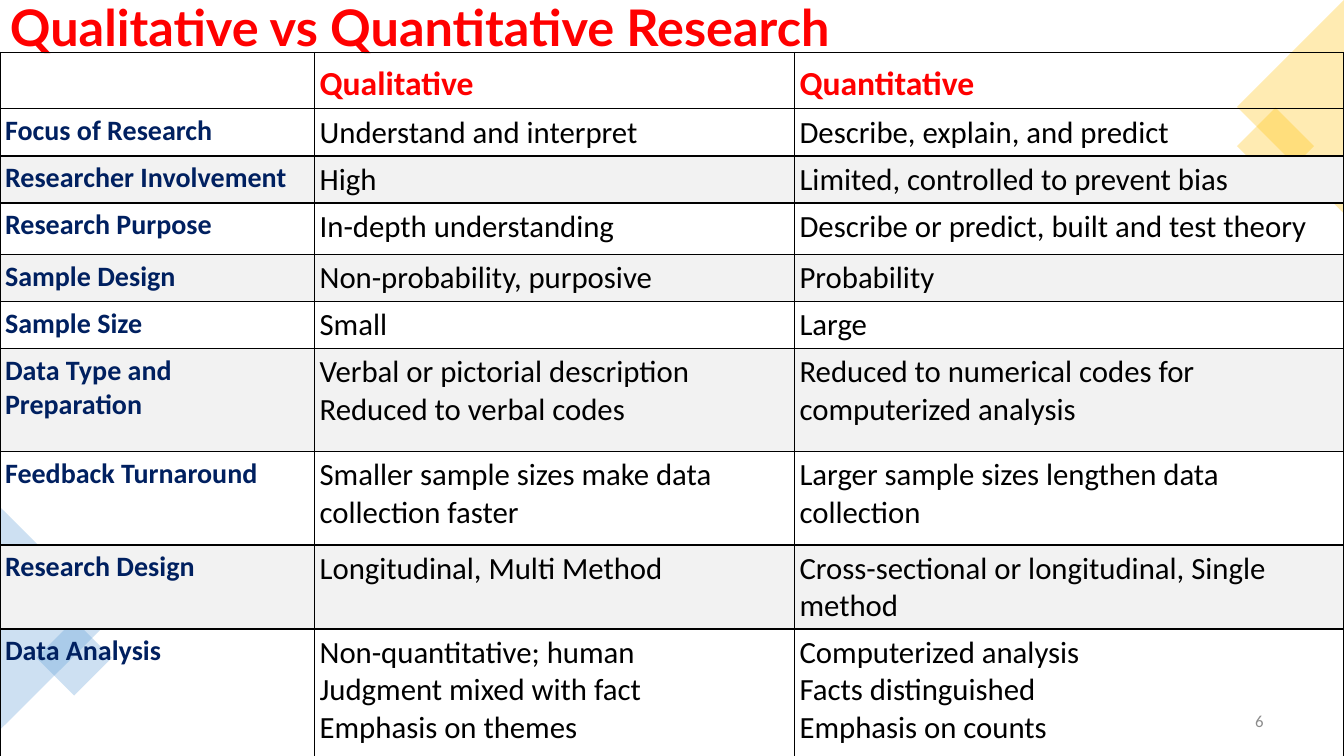
"""Build the slide comparing qualitative and quantitative research."""
from dataclasses import dataclass

from lxml import etree
from pptx import Presentation, util as u
from pptx.dml.color import RGBColor
from pptx.enum import shapes, text
from pptx.oxml import ns


@dataclass(frozen=True)
class Theme:
    red: str = "FF0000"
    navy: str = "002060"
    black: str = "000000"
    white: str = "FFFFFF"
    band: str = "F2F2F2"
    blue: str = "5B9BD5"
    gold: str = "FFC000"
    grey: str = "8C8C8C"
    opacity: int = 30
    title_font: str = "Lato"
    body_font: str = "Calibri"
    title_size: float = 36
    head_size: float = 24
    label_size: float = 20
    body_size: float = 22
    number_size: float = 12
    border: float = 1
    inset: float = 0.05


@dataclass(frozen=True)
class Box:
    """A box in percent of the slide's width and height."""
    x: float
    y: float
    w: float
    h: float

    def emu(self) -> tuple:
        return across(self.x), down(self.y), across(self.w), down(self.h)


@dataclass(frozen=True)
class Ornament:
    kind: shapes.MSO_SHAPE
    box: Box
    rotation: float
    color: str


@dataclass(frozen=True)
class Style:
    size: float
    color: str
    bold: bool = False
    font: str = Theme.body_font


@dataclass(frozen=True)
class Row:
    height: float
    label: str
    qualitative: str
    quantitative: str


THEME = Theme()
WIDTH, HEIGHT = u.Inches(13.33), u.Inches(7.5)
COLUMNS = (23.41, 35.71, 40.88)
TITLE_BOX = Box(0, 0.67, 100, 5.6)
NUMBER_BOX = Box(72.24, 92.67, 22.51, 5.33)
TABLE_TOP = 6.93

TITLE = Style(THEME.title_size, THEME.red, True, THEME.title_font)
HEAD = Style(THEME.head_size, THEME.red, True)
LABEL = Style(THEME.label_size, THEME.navy, True)
BODY = Style(THEME.body_size, THEME.black)
NUMBER = Style(THEME.number_size, THEME.grey)

TRIANGLE = shapes.MSO_SHAPE.ISOSCELES_TRIANGLE
SQUARE = shapes.MSO_SHAPE.RECTANGLE
ORNAMENTS = (
    Ornament(TRIANGLE, Box(-4.13, 74.4, 16.58, 14.8), 90, THEME.blue),
    Ornament(SQUARE, Box(3.53, 83.47, 3.98, 7.07), 45, THEME.blue),
    Ornament(SQUARE, Box(92.87, 15.73, 4.05, 7.2), 45, THEME.gold),
    Ornament(TRIANGLE, Box(88.07, 7.07, 15.9, 14.13), 270, THEME.gold),
)
ROWS = (
    Row(6.93, "", "Qualitative", "Quantitative"),
    Row(5.87, "Focus of Research", "Understand and interpret", "Describe, explain, and predict"),
    Row(5.6, "Researcher Involvement", "High", "Limited, controlled to prevent bias"),
    Row(6.8, "Research Purpose", "In-depth understanding",
        "Describe or predict, built and test theory"),
    Row(5.6, "Sample Design", "Non-probability, purposive", "Probability"),
    Row(5.6, "Sample Size", "Small", "Large"),
    Row(13.6, "Data Type and Preparation",
        "Verbal or pictorial description\nReduced to verbal codes",
        "Reduced to numerical codes for computerized analysis"),
    Row(12.4, "Feedback Turnaround", "Smaller sample sizes make data collection faster",
        "Larger sample sizes lengthen data collection"),
    Row(5.6, "Research Design", "Longitudinal, Multi Method",
        "Cross-sectional or longitudinal, Single method"),
    Row(18.67, "Data Analysis",
        "Non-quantitative; human\nJudgment mixed with fact\nEmphasis on themes",
        "Computerized analysis\nFacts distinguished\nEmphasis on counts"),
)


def across(share: float) -> int:
    return round(WIDTH * share / 100)


def down(share: float) -> int:
    return round(HEIGHT * share / 100)


def write(tf, content: str, style: Style) -> None:
    tf.text = content
    tf.word_wrap = True
    for p in tf.paragraphs:
        for r in p.runs:
            r.font.name, r.font.size, r.font.bold = style.font, u.Pt(style.size), style.bold
            r.font.color.rgb = RGBColor.from_string(style.color)


def add_text(s, box: Box, content: str, style: Style):
    tf = s.shapes.add_textbox(*box.emu()).text_frame
    write(tf, content, style)
    tf.vertical_anchor = text.MSO_ANCHOR.MIDDLE
    return tf.paragraphs[0]


def add_ornament(s, ornament: Ornament) -> None:
    sp = s.shapes.add_shape(ornament.kind, *ornament.box.emu())
    sp.rotation = ornament.rotation
    sp.shadow.inherit = False
    sp.line.fill.background()
    sp.fill.solid()
    sp.fill.fore_color.rgb = RGBColor.from_string(ornament.color)
    color = sp.fill._xPr.find(".//" + ns.qn("a:srgbClr"))
    etree.SubElement(color, ns.qn("a:alpha"), val=str(THEME.opacity * 1000))


def add_borders(cell) -> None:
    tcPr = cell._tc.get_or_add_tcPr()
    for side in ("lnL", "lnR", "lnT", "lnB"):
        line = etree.SubElement(tcPr, ns.qn(f"a:{side}"), w=str(u.Pt(THEME.border)))
        fill = etree.SubElement(line, ns.qn("a:solidFill"))
        etree.SubElement(fill, ns.qn("a:srgbClr"), val=THEME.black)


def fill_cell(cell, content: str, style: Style, banded: bool) -> None:
    inset = u.Inches(THEME.inset)
    cell.margin_left = cell.margin_right = cell.margin_top = cell.margin_bottom = inset
    add_borders(cell)
    if banded:
        cell.fill.solid()
        cell.fill.fore_color.rgb = RGBColor.from_string(THEME.band)
    else:
        cell.fill.background()
    write(cell.text_frame, content, style)
    if style is HEAD:
        cell.text_frame.paragraphs[0].line_spacing = 1.15


def add_comparison(s) -> None:
    box = Box(0, TABLE_TOP, sum(COLUMNS), sum(row.height for row in ROWS))
    table = s.shapes.add_table(len(ROWS), len(COLUMNS), *box.emu()).table
    table.first_row = table.horz_banding = False
    for column, share in zip(table.columns, COLUMNS):
        column.width = across(share)
    for i, row in enumerate(ROWS):
        table.rows[i].height = down(row.height)
        for j, content in enumerate((row.label, row.qualitative, row.quantitative)):
            style = HEAD if i == 0 else LABEL if j == 0 else BODY
            fill_cell(table.cell(i, j), content, style, i > 0 and i % 2 == 0)


def main() -> None:
    prs = Presentation()
    prs.slide_width, prs.slide_height = WIDTH, HEIGHT
    s = prs.slides.add_slide(prs.slide_layouts[6])
    s.background.fill.solid()
    s.background.fill.fore_color.rgb = RGBColor.from_string(THEME.white)
    add_text(s, TITLE_BOX, "Qualitative vs Quantitative Research", TITLE)
    for ornament in ORNAMENTS:
        add_ornament(s, ornament)
    p = add_text(s, NUMBER_BOX, "6", NUMBER)
    p.alignment = text.PP_ALIGN.RIGHT
    p.space_after = u.Pt(6)
    add_comparison(s)
    prs.save("out.pptx")


if __name__ == "__main__":
    main()
